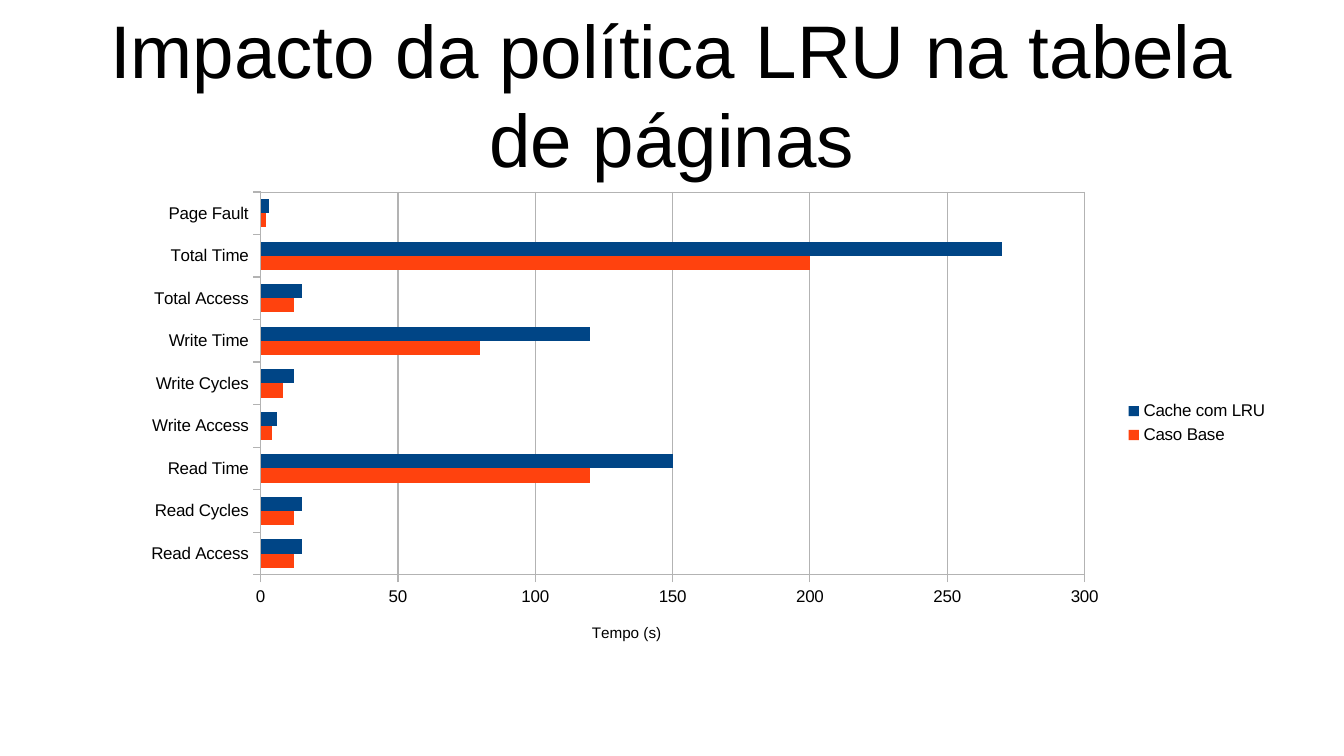
import pptx
import pptx.chart.data
import pptx.dml.color
import pptx.enum.chart
import pptx.enum.text
import pptx.oxml
import pptx.oxml.ns
import pptx.util
from pptx.util import Inches

COLORS = {"text": "000000", "grid": "B3B3B3", "base": "FF420E", "lru": "004586"}
FONT = "Arial"

CATEGORIES = ["Read Access", "Read Cycles", "Read Time",
              "Write Access", "Write Cycles", "Write Time",
              "Total Access", "Total Time", "Page Fault"]
SERIES = [("Caso Base", "base", [12, 12, 120, 4, 8, 80, 12, 200, 2]),
          ("Cache com LRU", "lru", [15, 15, 150, 6, 12, 120, 15, 270, 3])]


class SlideBuilder:
    def __init__(self, prs):
        self.s = prs.slides.add_slide(prs.slide_layouts[5])

    def rgb(self, name):
        return pptx.dml.color.RGBColor.from_string(COLORS[name])

    def style_font(self, font, size):
        font.name, font.size, font.bold = FONT, pptx.util.Pt(size), False
        font.color.rgb = self.rgb("text")

    def style_line(self, line):
        line.color.rgb = self.rgb("grid")
        line.width = pptx.util.Pt(0)

    def set_layout(self, parent, index, **values):
        """Place a chart part by fractions of the chart's size."""
        for old in parent.findall(pptx.oxml.ns.qn("c:layout")):
            parent.remove(old)
        target = '<c:layoutTarget val="inner"/>' if "w" in values else ""
        sizes = "".join(f'<c:{k} val="{v}"/>' for k, v in values.items())
        parent.insert(index, pptx.oxml.parse_xml(
            f'<c:layout {pptx.oxml.ns.nsdecls("c")}><c:manualLayout>{target}'
            f'<c:xMode val="edge"/><c:yMode val="edge"/>{sizes}'
            '</c:manualLayout></c:layout>'))

    def title(self, text, left, top, width, height):
        sp = self.s.shapes.title
        sp.left, sp.top = Inches(left), Inches(top)
        sp.width, sp.height = Inches(width), Inches(height)
        tf = sp.text_frame
        tf.text = text
        tf.word_wrap = True
        tf.auto_size = pptx.enum.text.MSO_AUTO_SIZE.SHAPE_TO_FIT_TEXT
        tf.vertical_anchor = pptx.enum.text.MSO_ANCHOR.MIDDLE
        tf.margin_left = tf.margin_top = tf.margin_right = tf.margin_bottom = 0
        p = tf.paragraphs[0]
        p.alignment = pptx.enum.text.PP_ALIGN.CENTER
        self.style_font(p.font, 44)

    def bar_chart(self, left, top, width, height):
        data = pptx.chart.data.CategoryChartData()
        data.categories = CATEGORIES
        for name, _, values in SERIES:
            data.add_series(name, values)
        chart = self.s.shapes.add_chart(
            pptx.enum.chart.XL_CHART_TYPE.BAR_CLUSTERED, Inches(left),
            Inches(top), Inches(width), Inches(height), data).chart
        chart.has_title = False
        self.style_font(chart.font, 10)

        # Bars
        plot = chart.plots[0]
        plot.gap_width, plot.overlap, plot.vary_by_categories = 100, 0, False
        for series, (_, color, _) in zip(plot.series, SERIES):
            series.format.fill.solid()
            series.format.fill.fore_color.rgb = self.rgb(color)

        # Axes
        for axis in (chart.category_axis, chart.value_axis):
            axis.major_tick_mark = pptx.enum.chart.XL_TICK_MARK.OUTSIDE
            axis.minor_tick_mark = pptx.enum.chart.XL_TICK_MARK.NONE
            self.style_font(axis.tick_labels.font, 10)
            self.style_line(axis.format.line)
        axis = chart.value_axis
        axis.minimum_scale, axis.maximum_scale, axis.major_unit = 0, 300, 50
        axis.has_major_gridlines = True
        self.style_line(axis.major_gridlines.format.line)
        tf = axis.axis_title.text_frame
        tf.text = "Tempo (s)"
        self.style_font(tf.paragraphs[0].font, 9)
        self.set_layout(axis.axis_title._element, 1, x=0.4, y=0.91)

        # Legend
        chart.has_legend = True
        chart.legend.position = pptx.enum.chart.XL_LEGEND_POSITION.RIGHT
        chart.legend.include_in_layout = False
        self.style_font(chart.legend.font, 10)

        # Plot area with a thin frame
        area = chart._chartSpace.chart.plotArea
        self.set_layout(area, 0, x=0.115, y=0.019, w=0.715, h=0.797)
        area.append(pptx.oxml.parse_xml(
            f'<c:spPr {pptx.oxml.ns.nsdecls("c", "a")}><a:noFill/><a:ln w="0">'
            f'<a:solidFill><a:srgbClr val="{COLORS["grid"]}"/></a:solidFill>'
            '</a:ln></c:spPr>'))


def main():
    prs = pptx.Presentation()
    prs.slide_width, prs.slide_height = Inches(11.02), Inches(6.2)
    slide = SlideBuilder(prs)
    slide.title("Impacto da política LRU na tabela de páginas",
                0.55, 0.08, 9.92, 1.37)
    slide.bar_chart(1.05, 1.5, 9.45, 3.94)
    prs.save("out.pptx")


if __name__ == "__main__":
    main()
